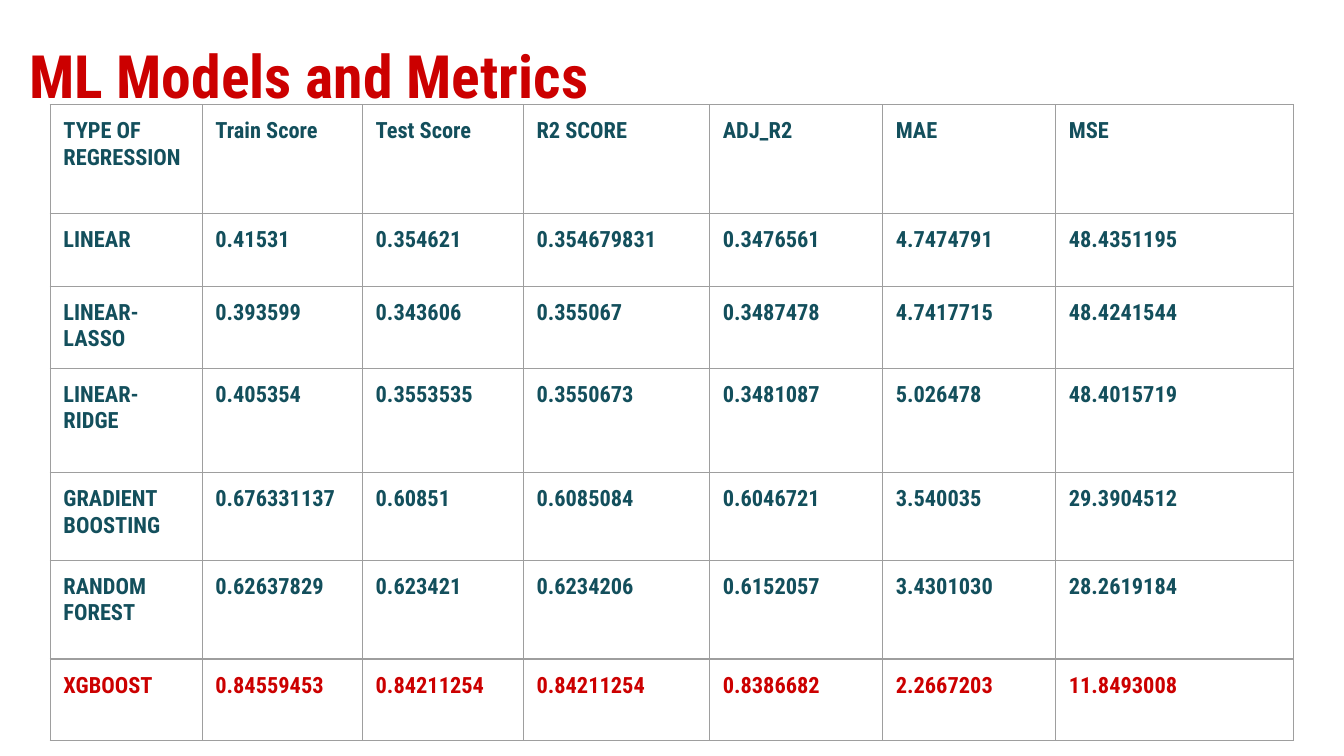
from pptx import Presentation
from pptx.dml.color import RGBColor
from pptx.enum.text import MSO_ANCHOR
from pptx.oxml.ns import qn
from pptx.util import Cm, Pt
from lxml import etree

TOP = MSO_ANCHOR.TOP
BLANK = 6
FONT = "Roboto Condensed"
RED, TEAL, GREY = "CC0000", "134F5C", "9E9E9E"
INSET = 0.25

COL_WIDTHS = [2.87, 3.03, 3.04, 3.52, 3.27, 3.27, 4.5]
ROW_HEIGHTS = [2.05, 1.39, 1.55, 1.97, 1.66, 1.86, 1.54]
METRICS = [
    ["TYPE OF REGRESSION", "Train Score", "Test Score", "R2 SCORE", "ADJ_R2", "MAE", "MSE"],
    ["LINEAR", "0.41531", "0.354621", "0.354679831", "0.3476561", "4.7474791", "48.4351195"],
    ["LINEAR-LASSO", "0.393599", "0.343606", "0.355067", "0.3487478", "4.7417715", "48.4241544"],
    ["LINEAR-RIDGE", "0.405354", "0.3553535", "0.3550673", "0.3481087", "5.026478", "48.4015719"],
    ["GRADIENT BOOSTING", "0.676331137", "0.60851", "0.6085084", "0.6046721", "3.540035", "29.3904512"],
    ["RANDOM FOREST", "0.62637829", "0.623421", "0.6234206", "0.6152057", "3.4301030", "28.2619184"],
    ["XGBOOST", "0.84559453", "0.84211254", "0.84211254", "0.8386682", "2.2667203", "11.8493008"],
]


def rgb(color):
    return RGBColor.from_string(color)


def write(tf, text, size=12, color=TEAL, bold=True):
    tf.word_wrap = True
    r = tf.paragraphs[0].add_run()
    r.text = text
    r.font.name = FONT
    r.font.size = Pt(size)
    r.font.bold = bold
    r.font.color.rgb = rgb(color)


def set_margins(box, top=INSET):
    box.margin_left = box.margin_right = box.margin_bottom = Cm(INSET)
    box.margin_top = Cm(top)
    box.vertical_anchor = TOP


def set_borders(cell, color, width):
    tc_pr = cell._tc.get_or_add_tcPr()
    for side in ("a:lnL", "a:lnR", "a:lnT", "a:lnB"):
        ln = etree.SubElement(tc_pr, qn(side), w=str(Pt(width)))
        fill = etree.SubElement(ln, qn("a:solidFill"))
        etree.SubElement(fill, qn("a:srgbClr"), val=color)


def add_title(s, text):
    sp = s.shapes.add_textbox(Cm(0.3), Cm(0.38), Cm(23.67), Cm(1.6))
    set_margins(sp.text_frame, top=0.35)
    write(sp.text_frame, text, size=32, color=RED)


def add_metrics_table(s, rows):
    frame = s.shapes.add_table(len(rows), len(rows[0]), Cm(0.95), Cm(1.98),
                               Cm(sum(COL_WIDTHS)), Cm(sum(ROW_HEIGHTS)))
    table = frame.table
    table.first_row = table.horz_banding = False
    for column, width in zip(table.columns, COL_WIDTHS):
        column.width = Cm(width)
    for row, height, values in zip(table.rows, ROW_HEIGHTS, rows):
        row.height = Cm(height)
        color = RED if values is rows[-1] else TEAL
        for cell, value in zip(row.cells, values):
            set_margins(cell)
            set_borders(cell, GREY, 0.75)
            cell.fill.background()
            write(cell.text_frame, value, color=color)


def main():
    prs = Presentation()
    prs.slide_width, prs.slide_height = Cm(25.4), Cm(14.29)
    s = prs.slides.add_slide(prs.slide_layouts[BLANK])
    add_title(s, "ML Models and Metrics")
    add_metrics_table(s, METRICS)
    prs.save("out.pptx")


if __name__ == "__main__":
    main()
